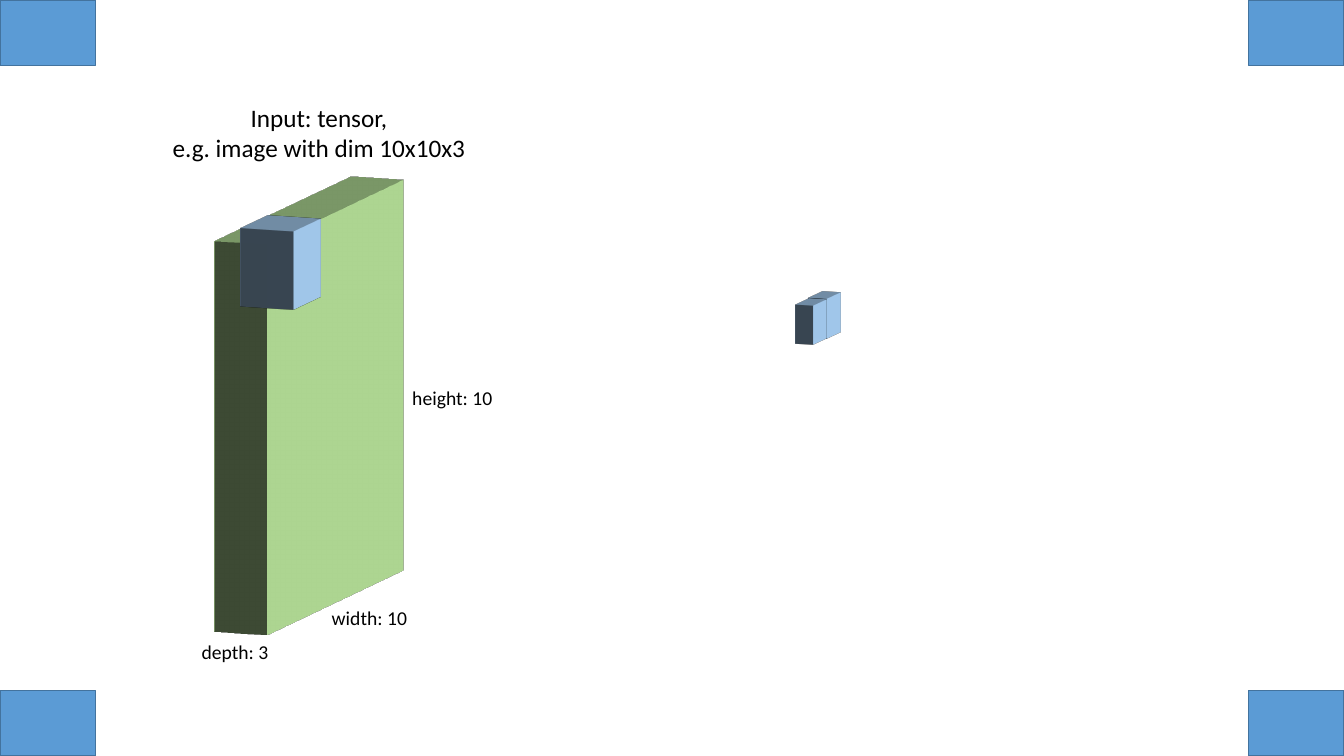
from dataclasses import dataclass
from itertools import product

from lxml import etree
from pptx import Presentation
from pptx.dml.color import RGBColor
from pptx.enum.shapes import MSO_SHAPE
from pptx.enum.text import MSO_AUTO_SIZE, PP_ALIGN
from pptx.oxml.ns import qn
from pptx.shapes.autoshape import Shape
from pptx.slide import Slide
from pptx.util import Cm, Pt

COLORS = {
    "corner": "5B9BD5",
    "corner_edge": "43739E",
    "input": "A9D18E",
    "kernel": "9DC3E6",
    "text": "000000",
}

SLIDE_WIDTH, SLIDE_HEIGHT = 33.87, 19.05
CORNER_WIDTH, CORNER_HEIGHT = 2.41, 1.65

DEPTH_PER_CELL = Pt(40) / 3
ANGLE_UNITS = 60000  # per degree
VIEW = {"lat": 10, "lon": 290, "rev": 0}


@dataclass(frozen=True)
class Block:
    """A square of side cells, 1 cm each, extruded by depth cells."""
    left: float
    top: float
    side: int
    depth: int
    color: str


@dataclass(frozen=True)
class Label:
    left: float
    top: float
    width: float
    height: float
    lines: tuple[str, ...]
    size: int = 14
    align: PP_ALIGN = PP_ALIGN.LEFT


BLOCKS = [
    Block(3.45, 5.26, 10, 3, "input"),
    Block(20.5, 7.45, 1, 1, "kernel"),
    Block(20.15, 7.62, 1, 1, "kernel"),
    Block(6.73, 5.66, 2, 3, "kernel"),
]

LABELS = [
    Label(4.05, 2.45, 7.98, 1.8, ("Input: tensor,", "e.g. image with dim 10x10x3"),
          18, PP_ALIGN.CENTER),
    Label(10.14, 9.59, 3.99, 0.86, ("height: 10",)),
    Label(8.11, 15.14, 3.99, 0.86, ("width: 10",)),
    Label(4.83, 16, 2.49, 0.86, ("depth: 3",)),
]


def add_rectangle(slide: Slide, left: float, top: float, width: float,
                  height: float, color: str) -> Shape:
    rectangle = slide.shapes.add_shape(
        MSO_SHAPE.RECTANGLE, Cm(left), Cm(top), Cm(width), Cm(height))
    rectangle.shadow.inherit = False
    rectangle.fill.solid()
    rectangle.fill.fore_color.rgb = RGBColor.from_string(COLORS[color])
    return rectangle


def add_corners(slide: Slide) -> None:
    lefts = (0, SLIDE_WIDTH - CORNER_WIDTH)
    tops = (0, SLIDE_HEIGHT - CORNER_HEIGHT)
    for left, top in product(lefts, tops):
        corner = add_rectangle(slide, left, top, CORNER_WIDTH, CORNER_HEIGHT, "corner")
        corner.line.color.rgb = RGBColor.from_string(COLORS["corner_edge"])
        corner.line.width = Pt(1)


def add_block(slide: Slide, block: Block) -> None:
    square = add_rectangle(
        slide, block.left, block.top, block.side, block.side, block.color)
    square.line.fill.background()
    properties = square.element.spPr
    scene = etree.SubElement(properties, qn("a:scene3d"))
    camera = etree.SubElement(scene, qn("a:camera"), prst="orthographicFront")
    etree.SubElement(camera, qn("a:rot"), {
        axis: str(angle * ANGLE_UNITS) for axis, angle in VIEW.items()})
    etree.SubElement(scene, qn("a:lightRig"), rig="threePt", dir="t")
    etree.SubElement(properties, qn("a:sp3d"),
                     extrusionH=str(round(block.depth * DEPTH_PER_CELL)))


def add_label(slide: Slide, label: Label) -> None:
    frame = slide.shapes.add_textbox(
        Cm(label.left), Cm(label.top), Cm(label.width), Cm(label.height)).text_frame
    frame.word_wrap = True
    frame.auto_size = MSO_AUTO_SIZE.SHAPE_TO_FIT_TEXT
    frame.text = "\n".join(label.lines)
    font_format = {"name": "Calibri", "size": Pt(label.size)}
    for paragraph in frame.paragraphs:
        paragraph.alignment = label.align
        for run in paragraph.runs:
            for attribute, value in font_format.items():
                setattr(run.font, attribute, value)
            run.font.color.rgb = RGBColor.from_string(COLORS["text"])


def main() -> None:
    presentation = Presentation()
    presentation.slide_width = Cm(SLIDE_WIDTH)
    presentation.slide_height = Cm(SLIDE_HEIGHT)
    slide = presentation.slides.add_slide(presentation.slide_layouts[6])
    add_corners(slide)
    for block in BLOCKS:
        add_block(slide, block)
    for label in LABELS:
        add_label(slide, label)
    presentation.save("out.pptx")


if __name__ == "__main__":
    main()
